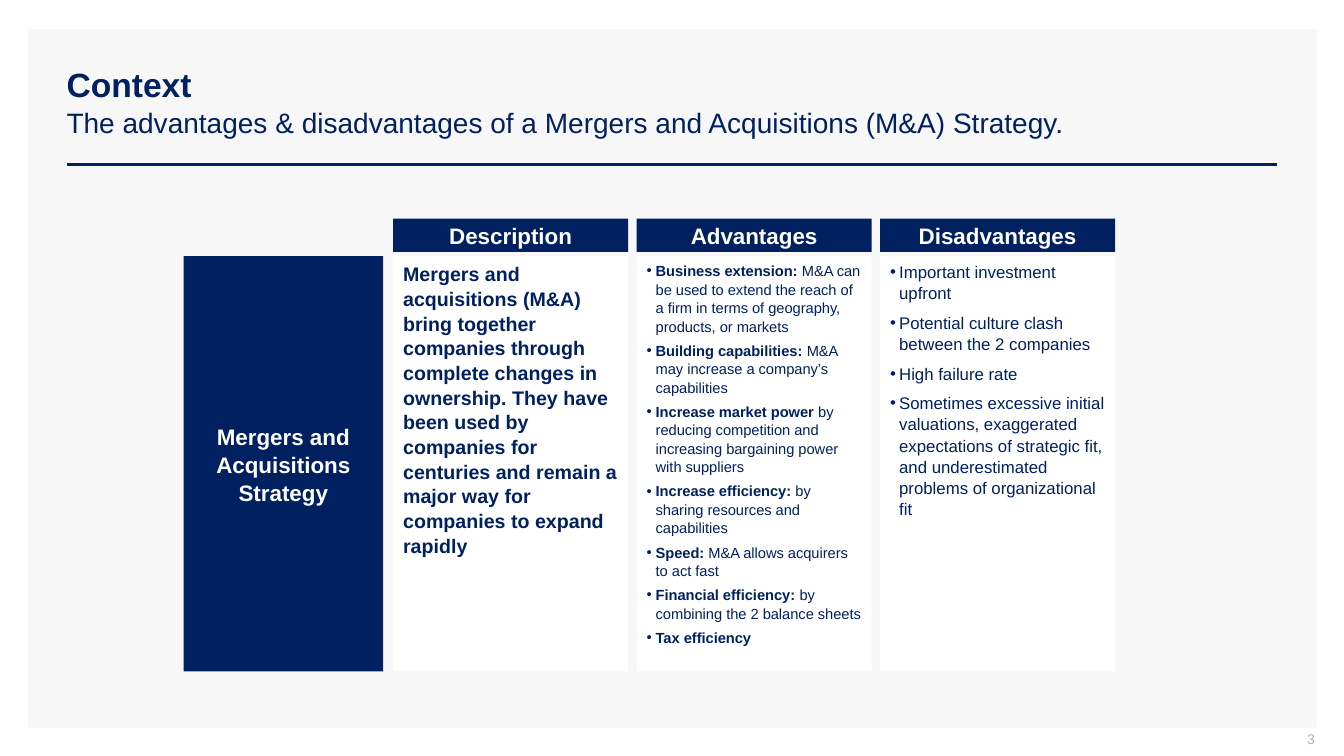
"""Build the slide on advantages and disadvantages of an M&A strategy."""
from dataclasses import dataclass

import pptx
import pptx.util
import pptx.dml.color
import pptx.enum.shapes
import pptx.enum.text
import pptx.oxml
from pptx.oxml import ns
from lxml import etree

Inches, Pt = pptx.util.Inches, pptx.util.Pt
ALIGN, ANCHOR = pptx.enum.text.PP_ALIGN, pptx.enum.text.MSO_ANCHOR

TITLE = ("Context", "The advantages & disadvantages of a Mergers and Acquisitions (M&A) Strategy.")
STRATEGY = "Mergers and Acquisitions Strategy"
PAGE = "3"
DESCRIPTION = [
    ("Mergers and acquisitions (M&A) bring together companies through complete changes in "
     "ownership. They have been used by companies for centuries and remain a major way for "
     "companies to expand rapidly", ""),
]
ADVANTAGES = [
    ("Business extension: ",
     "M&A can be used to extend the reach of a firm in terms of geography, products, or markets"),
    ("Building capabilities: ", "M&A may increase a company’s capabilities"),
    ("Increase market power ",
     "by reducing competition and increasing bargaining power with suppliers"),
    ("Increase efficiency: ", "by sharing resources and capabilities"),
    ("Speed: ", "M&A allows acquirers to act fast"),
    ("Financial efficiency: ", "by combining the 2 balance sheets"),
    ("Tax efficiency", ""),
]
DISADVANTAGES = [
    ("", "Important investment upfront"),
    ("", "Potential culture clash between the 2 companies"),
    ("", "High failure rate"),
    ("", "Sometimes excessive initial valuations, exaggerated expectations of strategic fit, "
         "and underestimated problems of organizational fit"),
]


@dataclass(frozen=True)
class Theme:
    """Colours, font and type sizes of the slide."""
    navy: str = "002060"
    white: str = "FFFFFF"
    panel: str = "F7F7F7"
    grey: str = "ADAFBB"
    font: str = "Arial"
    title: float = 24
    subtitle: float = 20
    heading: float = 16
    description: float = 14
    disadvantages: float = 12
    advantages: float = 10.5
    page: float = 10
    leading: float = 1.05


T = Theme()
COLUMNS = [
    ("Description", DESCRIPTION, T.description, None),
    ("Advantages", ADVANTAGES, T.advantages, 2),
    ("Disadvantages", DISADVANTAGES, T.disadvantages, 3),
]
LABEL_LEFT, LABEL_W = 1.82, 1.98
COL_LEFT, COL_W, COL_STEP = 3.9, 2.33, 2.415
HEAD_TOP, HEAD_H = 2.17, 0.33
BODY_TOP, BODY_H = 2.54, 4.12


def rgb(color):
    """Turn a hex string into a colour."""
    return pptx.dml.color.RGBColor.from_string(color)


def add_run(p, text, size, color, bold=False):
    """Append one formatted run to a paragraph."""
    r = p.add_run()
    r.text = text
    r.font.name, r.font.size, r.font.bold = T.font, Pt(size), bold
    r.font.color.rgb = rgb(color)


def add_box(s, left, top, width, height, fill):
    """Add a plain filled rectangle and return its text frame."""
    sp = s.shapes.add_shape(pptx.enum.shapes.MSO_SHAPE.RECTANGLE,
                            Inches(left), Inches(top), Inches(width), Inches(height))
    sp.shadow.inherit = False
    sp.fill.solid()
    sp.fill.fore_color.rgb = rgb(fill)
    sp.line.fill.background()
    sp.text_frame.word_wrap = True
    return sp.text_frame


def add_heading(s, text, left, top, width, height):
    """Add a navy box with a centred white heading."""
    tf = add_box(s, left, top, width, height, T.navy)
    tf.vertical_anchor = ANCHOR.MIDDLE
    p = tf.paragraphs[0]
    p.alignment, p.line_spacing = ALIGN.CENTER, T.leading
    add_run(p, text, T.heading, T.white, True)


def add_bullet(p):
    """Give a paragraph a hanging round bullet."""
    pPr = p._p.get_or_add_pPr()
    pPr.set("marL", str(Inches(0.09)))
    pPr.set("indent", str(-Inches(0.09)))
    etree.SubElement(pPr, ns.qn("a:buFont")).set("typeface", T.font)
    etree.SubElement(pPr, ns.qn("a:buChar")).set("char", "•")


def add_body(s, left, items, size, gap):
    """Add a white column body, bulleted when a paragraph gap is given."""
    tf = add_box(s, left, BODY_TOP, COL_W, BODY_H, T.white)
    tf.vertical_anchor = ANCHOR.TOP
    for i, (lead, rest) in enumerate(items):
        p = tf.add_paragraph() if i else tf.paragraphs[0]
        if gap:
            add_bullet(p)
            p.space_before, p.space_after = Pt(gap if i else 0), Pt(gap)
        p.alignment, p.line_spacing = ALIGN.LEFT, T.leading
        for text, bold in ((lead, True), (rest, False)):
            if text:
                add_run(p, text, size, T.navy, bold)


def add_title(s):
    """Fill and place the title placeholder."""
    sp = s.shapes.title
    sp.left, sp.top, sp.width, sp.height = map(Inches, (0.56, 0.4, 12.11, 1.19))
    tf = sp.text_frame
    tf.word_wrap, tf.vertical_anchor = True, ANCHOR.MIDDLE
    tf.auto_size = pptx.enum.text.MSO_AUTO_SIZE.NONE
    p = tf.paragraphs[0]
    p.alignment, p.line_spacing = ALIGN.LEFT, T.leading
    add_run(p, TITLE[0], T.title, T.navy, True)
    p.add_line_break()
    add_run(p, TITLE[1], T.subtitle, T.navy)


def add_rule(s):
    """Draw the line under the title."""
    sp = s.shapes.add_connector(pptx.enum.shapes.MSO_CONNECTOR.STRAIGHT,
                                Inches(0.66), Inches(1.63), Inches(12.67), Inches(1.63))
    sp.line.color.rgb, sp.line.width = rgb(T.navy), Pt(2)
    etree.SubElement(sp._element.spPr, ns.qn("a:effectLst"))


def add_page_number(s):
    """Add the page number at the lower right."""
    tf = s.shapes.add_textbox(Inches(10.04), Inches(7.25), Inches(3), Inches(0.21)).text_frame
    tf.word_wrap, tf.vertical_anchor = True, ANCHOR.MIDDLE
    tf.margin_left, tf.margin_top = Inches(0.1), 0
    tf.margin_right, tf.margin_bottom = 0, Inches(0.05)
    p = tf.paragraphs[0]
    p.alignment = ALIGN.RIGHT
    add_run(p, PAGE, T.page, T.grey)


def main():
    """Assemble and save the slide."""
    prs = pptx.Presentation()
    prs.slide_width, prs.slide_height = Inches(13.33), Inches(7.5)
    s = prs.slides.add_slide(prs.slide_layouts[5])
    add_box(s, 0.28, 0.29, 12.78, 6.93, T.panel)
    s.shapes._spTree.append(s.shapes.title._element)
    add_rule(s)
    add_title(s)
    add_page_number(s)
    add_heading(s, STRATEGY, LABEL_LEFT, BODY_TOP, LABEL_W, BODY_H)
    for i, (heading, items, size, gap) in enumerate(COLUMNS):
        left = COL_LEFT + i * COL_STEP
        add_heading(s, heading, left, HEAD_TOP, COL_W, HEAD_H)
        add_body(s, left, items, size, gap)
    prs.save("out.pptx")


if __name__ == "__main__":
    main()
